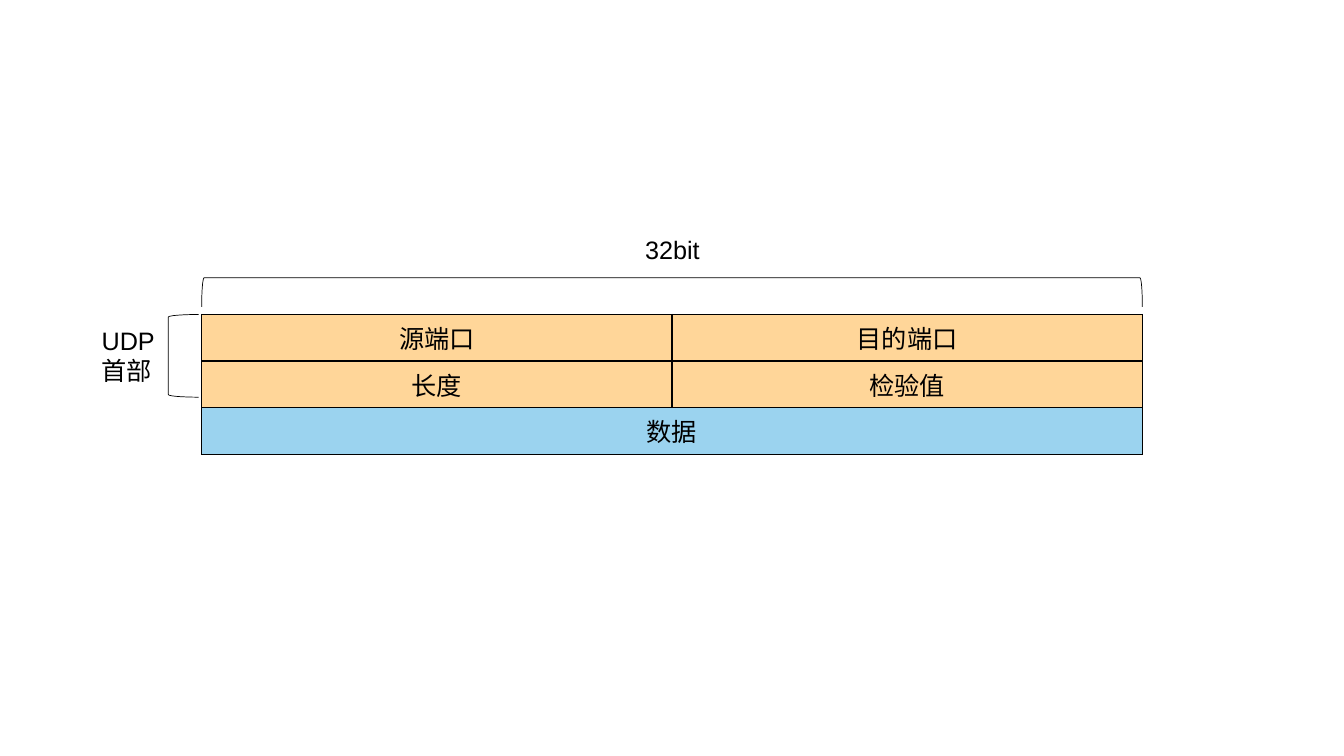
import dataclasses

import pptx
import pptx.dml.color
import pptx.enum.shapes
import pptx.enum.text
import pptx.oxml
import pptx.oxml.ns
import pptx.util
from pptx.util import Inches


@dataclasses.dataclass(frozen=True)
class Theme:
    ink: str = "000000"
    header: str = "FFD699"
    data: str = "9BD3EF"
    font: str = "Arial"
    text_size: int = 18
    border_width: float = 1
    bracket_width: float = 0.5


THEME = Theme()

# Datagram layout, in inches
TABLE_LEFT, TABLE_TOP, TABLE_WIDTH = 2, 3.12, 9.33
ROW_HEIGHT = 0.42
FIELDS = [("源端口", "目的端口"), ("长度", "检验值"), ("数据",)]


def color(value):
    return pptx.dml.color.RGBColor.from_string(value)


def style_text(text_frame, alignment):
    for paragraph in text_frame.paragraphs:
        paragraph.alignment = alignment
        paragraph.font.name = THEME.font
        paragraph.font.size = pptx.util.Pt(THEME.text_size)
        paragraph.font.color.rgb = color(THEME.ink)


def add_borders(cell):
    properties = cell._tc.get_or_add_tcPr()
    width = pptx.util.Pt(THEME.border_width)
    for side in ("lnL", "lnR", "lnT", "lnB"):
        properties.append(pptx.oxml.parse_xml(
            f'<a:{side} {pptx.oxml.ns.nsdecls("a")} w="{width}"><a:solidFill>'
            f'<a:srgbClr val="{THEME.ink}"/></a:solidFill></a:{side}>'))


def add_field_table(slide):
    row_count, column_count = len(FIELDS), 2
    table = slide.shapes.add_table(
        row_count, column_count, Inches(TABLE_LEFT), Inches(TABLE_TOP),
        Inches(TABLE_WIDTH), Inches(ROW_HEIGHT * row_count)).table
    table.first_row = table.horz_banding = False

    for row_index, names in enumerate(FIELDS):
        is_data = len(names) == 1
        if is_data:
            table.cell(row_index, 0).merge(table.cell(row_index, column_count - 1))
        for column_index in range(column_count):
            cell = table.cell(row_index, column_index)
            add_borders(cell)
            cell.fill.solid()
            cell.fill.fore_color.rgb = color(THEME.data if is_data else THEME.header)
            if column_index < len(names):
                cell.text = names[column_index]
                style_text(cell.text_frame, pptx.enum.text.PP_ALIGN.CENTER)


def add_bracket(slide, left, top, width, height, rotation=0):
    bracket = slide.shapes.add_shape(
        pptx.enum.shapes.MSO_SHAPE.LEFT_BRACKET,
        Inches(left), Inches(top), Inches(width), Inches(height))
    bracket.rotation = rotation
    bracket.shadow.inherit = False
    bracket.fill.background()
    bracket.line.color.rgb = color(THEME.ink)
    bracket.line.width = pptx.util.Pt(THEME.bracket_width)


def add_label(slide, text, left, top, width, height, wrap):
    label = slide.shapes.add_textbox(
        Inches(left), Inches(top), Inches(width), Inches(height))
    label.text_frame.text = text
    label.text_frame.word_wrap = wrap
    label.text_frame.auto_size = pptx.enum.text.MSO_AUTO_SIZE.SHAPE_TO_FIT_TEXT
    style_text(label.text_frame, pptx.enum.text.PP_ALIGN.LEFT)


def main():
    presentation = pptx.Presentation()
    presentation.slide_width = Inches(13.33)
    presentation.slide_height = Inches(7.5)
    slide = presentation.slides.add_slide(presentation.slide_layouts[6])

    # Datagram fields
    add_field_table(slide)

    # Header rows
    add_bracket(slide, 1.67, TABLE_TOP, 0.3, 0.82)
    add_label(slide, "UDP\n首部", 0.91, 3.18, 1.06, 0.71, wrap=True)

    # Word width: a bracket turned to lie across the table
    depth, center_y = 0.29, 2.9
    center_x = TABLE_LEFT + TABLE_WIDTH / 2
    add_bracket(slide, center_x - depth / 2, center_y - TABLE_WIDTH / 2,
                depth, TABLE_WIDTH, rotation=90)
    add_label(slide, "32bit", 6.3, 2.28, 0.74, 0.4, wrap=False)

    presentation.save("out.pptx")


main()
